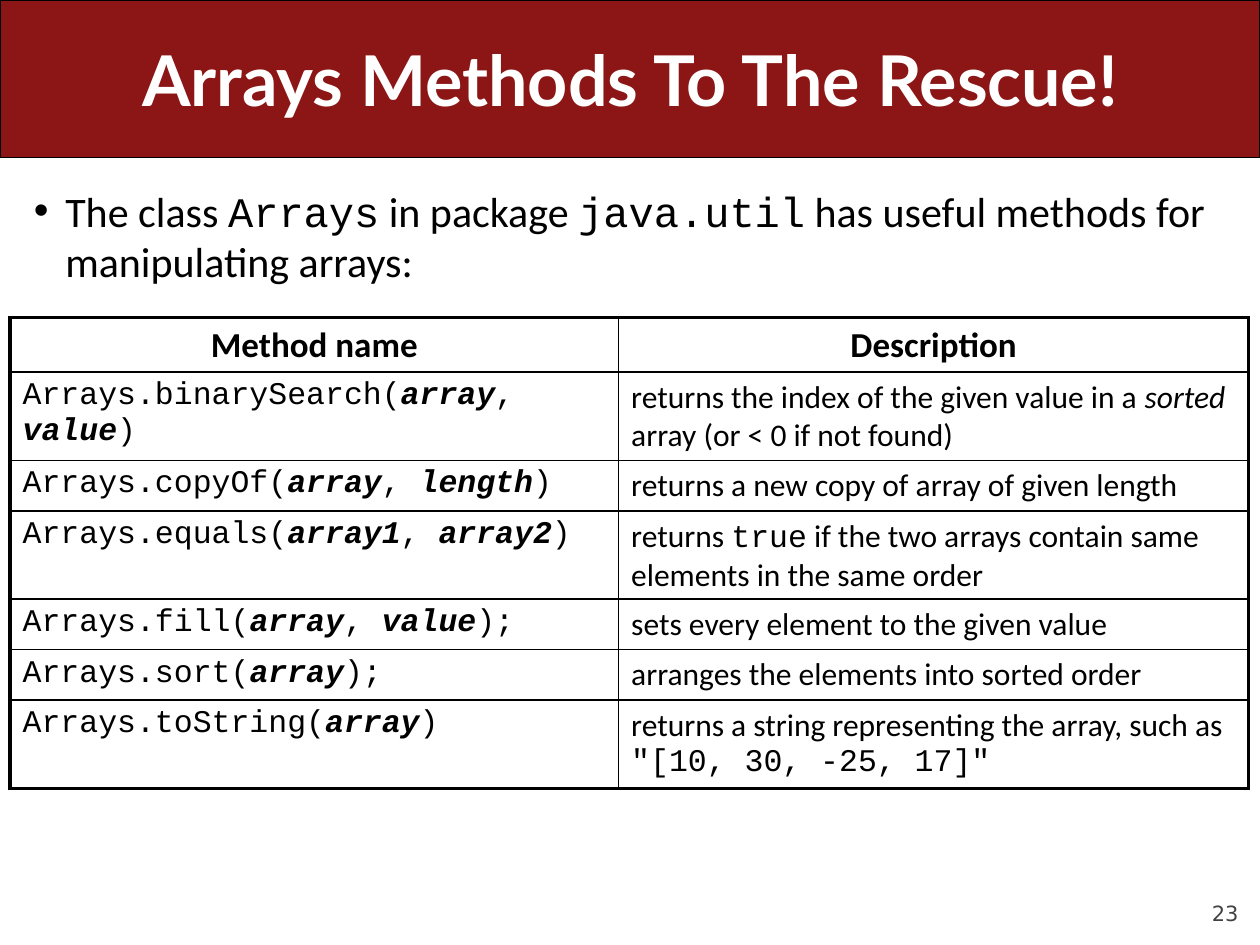
from lxml.etree import SubElement
from pptx import Presentation
from pptx.dml.color import RGBColor
from pptx.enum.shapes import MSO_SHAPE
from pptx.enum.text import MSO_ANCHOR, MSO_AUTO_SIZE, PP_ALIGN
from pptx.oxml import parse_xml
from pptx.oxml.ns import nsdecls, qn
from pptx.util import Inches, Pt

COLORS = {"band": "8C1515", "white": "FFFFFF", "black": "000000", "number": "424242"}
STYLES = {
    "text": {"name": "Calibri"},
    "heading": {"name": "Calibri", "bold": True},
    "italic": {"name": "Calibri", "italic": True},
    "code": {"name": "Courier New"},
    "param": {"name": "Courier New", "bold": True, "italic": True},
    "title": {"name": "Lato", "bold": True},
    "number": {"name": "DejaVu Sans"},
}


def add_runs(paragraph, pieces, size, color="black"):
    for style, text in pieces:
        run = paragraph.add_run()
        run.text = text
        run.font.size = Pt(size)
        run.font.color.rgb = RGBColor.from_string(COLORS[color])
        for attribute, value in STYLES[style].items():
            setattr(run.font, attribute, value)


def add_borders(cell, widths):
    properties = cell._tc.get_or_add_tcPr()
    for position, (side, width) in enumerate(widths.items()):
        properties.insert(position, parse_xml(
            f'<a:ln{side} {nsdecls("a")} w="{Pt(width)}"><a:solidFill>'
            f'<a:srgbClr val="{COLORS["black"]}"/></a:solidFill></a:ln{side}>'))


prs = Presentation()
prs.slide_width, prs.slide_height = Inches(10), Inches(7.5)
slide = prs.slides.add_slide(prs.slide_layouts[5])

band = slide.shapes.add_shape(MSO_SHAPE.ROUNDED_RECTANGLE, 0, 0, Inches(10), Inches(1.25))
band.adjustments[0] = 0
band.shadow.inherit = False
band.fill.solid()
band.fill.fore_color.rgb = RGBColor.from_string(COLORS["band"])
band.line.color.rgb = RGBColor.from_string(COLORS["black"])
band.line.width = Pt(0.75)

title = slide.shapes.title
band.element.addnext(title.element)
title.left, title.top, title.width, title.height = Inches(0.5), 0, Inches(9), Inches(1.25)
title.text_frame.vertical_anchor = MSO_ANCHOR.MIDDLE
title.text_frame.auto_size = MSO_AUTO_SIZE.NONE
heading = title.text_frame.paragraphs[0]
heading.alignment = PP_ALIGN.CENTER
add_runs(heading, [("title", "Arrays Methods To The Rescue!")], 40, "white")

intro = slide.shapes.add_textbox(Inches(0.17), Inches(1.42), Inches(9.67), Inches(1))
intro.text_frame.word_wrap = True
bullet = intro.text_frame.paragraphs[0]
bullet_properties = bullet._p.get_or_add_pPr()
bullet_properties.set("marL", str(Inches(0.25)))
bullet_properties.set("indent", str(Inches(-0.25)))
SubElement(bullet_properties, qn("a:buFont")).set("typeface", "Arial")
SubElement(bullet_properties, qn("a:buChar")).set("char", "•")
add_runs(bullet, [
    ("text", "The class "), ("code", "Arrays"), ("text", " in package "),
    ("code", "java.util"), ("text", " has useful methods for manipulating arrays:"),
], 24)

methods = [
    ("binarySearch", ["array", "value"], ")", [
        ("text", "returns the index of the given value in a "), ("italic", "sorted"),
        ("text", " array (or < 0 if not found)")]),
    ("copyOf", ["array", "length"], ")", [
        ("text", "returns a new copy of array of given length")]),
    ("equals", ["array1", "array2"], ")", [
        ("text", "returns "), ("code", "true"),
        ("text", " if the two arrays contain same elements in the same order")]),
    ("fill", ["array", "value"], ");", [("text", "sets every element to the given value")]),
    ("sort", ["array"], ");", [("text", "arranges the elements into sorted order")]),
    ("toString", ["array"], ")", [
        ("text", "returns a string representing the array, such as "),
        ("code", '"[10, 30, -25, 17]"')]),
]
rows = [([("heading", "Method name")], [("heading", "Description")])]
for method, params, ending, description in methods:
    signature = [("code", f"Arrays.{method}(")]
    for index, param in enumerate(params):
        if index:
            signature.append(("code", ", "))
        signature.append(("param", param))
    rows.append((signature + [("code", ending)], description))

row_heights = [0.43, 0.7, 0.4, 0.7, 0.4, 0.4, 0.7]
table = slide.shapes.add_table(
    len(rows), 2, Inches(0.08), Inches(2.52), Inches(9.83), Inches(sum(row_heights))).table
table.first_row = table.horz_banding = False
for column, width in zip(table.columns, [4.83, 5]):
    column.width = Inches(width)

for r, (row, height) in enumerate(zip(rows, row_heights)):
    table.rows[r].height = Inches(height)
    for c, pieces in enumerate(row):
        cell = table.cell(r, c)
        cell.fill.solid()
        cell.fill.fore_color.rgb = RGBColor.from_string(COLORS["white"])
        outer_sides = {"L": c == 0, "R": c == 1, "T": r == 0, "B": r == len(rows) - 1}
        add_borders(cell, {side: 2.25 if outer else 1 for side, outer in outer_sides.items()})
        paragraph = cell.text_frame.paragraphs[0]
        paragraph.alignment = PP_ALIGN.LEFT if r else PP_ALIGN.CENTER
        add_runs(paragraph, pieces, 18 if r else 20)

page_number = slide.shapes.add_textbox(Inches(9), Inches(6.95), Inches(0.83), Inches(0.4))
frame_format = {"margin_left": 0, "margin_right": 0, "margin_top": 0, "margin_bottom": 0,
                "word_wrap": True, "vertical_anchor": MSO_ANCHOR.BOTTOM}
for attribute, value in frame_format.items():
    setattr(page_number.text_frame, attribute, value)
number = page_number.text_frame.paragraphs[0]
number.alignment = PP_ALIGN.RIGHT
add_runs(number, [("number", "23")], 12, "number")

prs.save("out.pptx")
